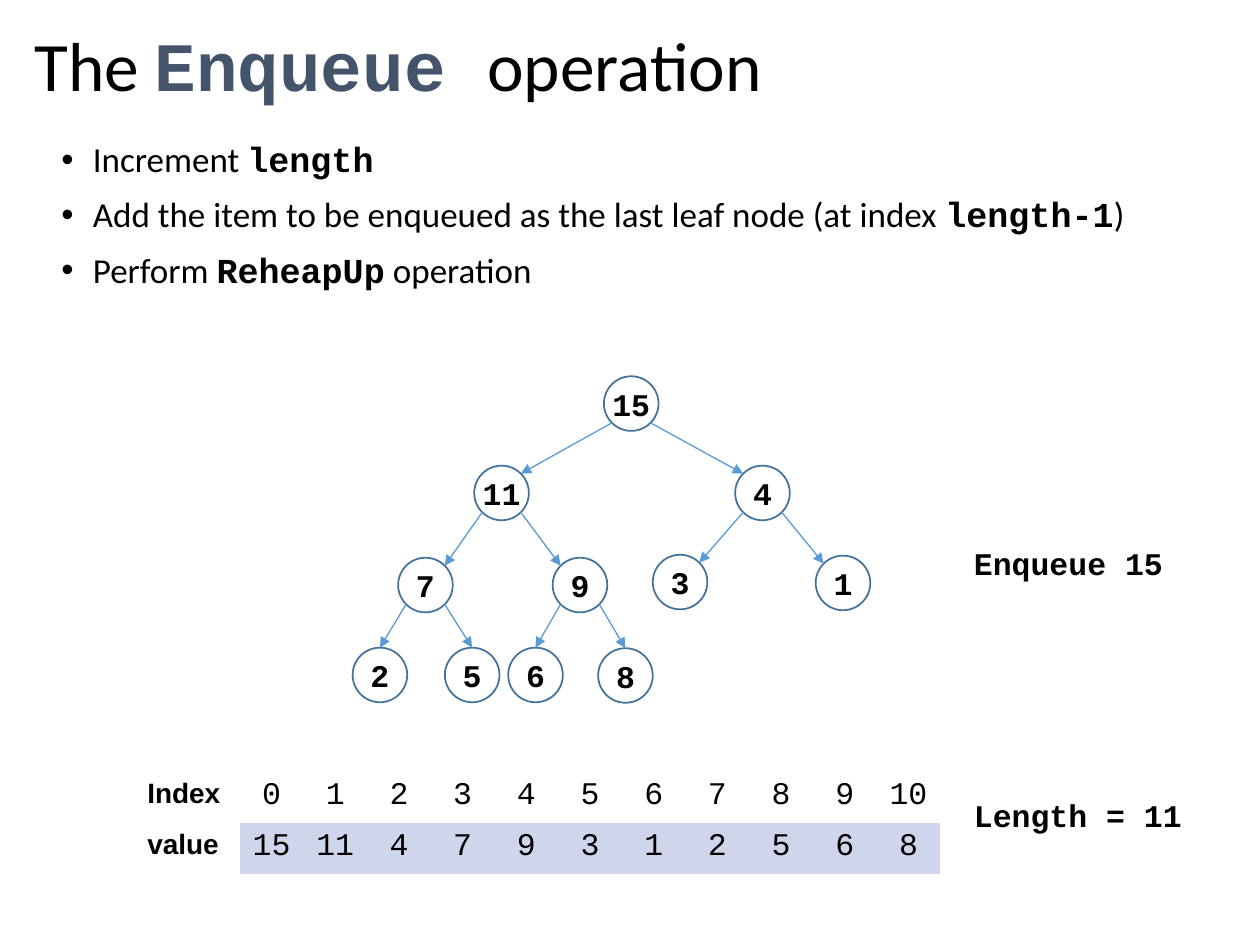
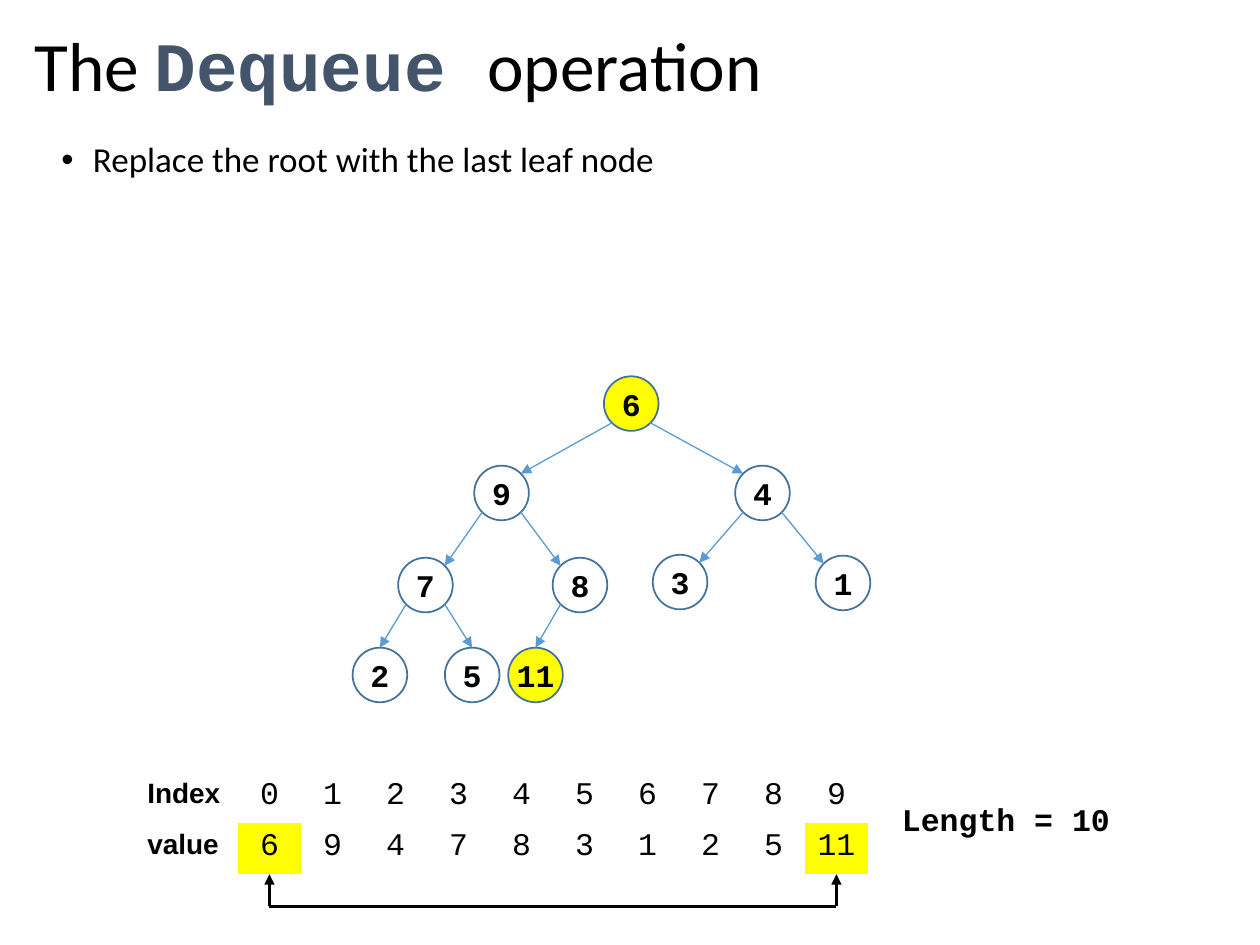
import math

import lxml.etree
import pptx
import pptx.dml.color
import pptx.enum.shapes
import pptx.enum.text
import pptx.oxml.ns
import pptx.util

Pt = pptx.util.Pt
RGBColor = pptx.dml.color.RGBColor
PP_ALIGN = pptx.enum.text.PP_ALIGN
MSO_ANCHOR = pptx.enum.text.MSO_ANCHOR
qn = pptx.oxml.ns.qn

BLACK = RGBColor(0x00, 0x00, 0x00)
SLATE = RGBColor(0x44, 0x54, 0x6A)
NODE_OUTLINE = RGBColor(0x42, 0x71, 0x9B)
EDGE_BLUE = RGBColor(0x5B, 0x9B, 0xD5)
PALE_BLUE = RGBColor(0xCF, 0xD5, 0xEA)
YELLOW = RGBColor(0xFF, 0xFF, 0x00)

BODY_FONT = "Calibri"
CODE_FONT = "Courier New"
LABEL_FONT = "Arial"
NO_GRID_STYLE = "{2D5ABB26-0587-4C30-8999-92F81FD0307C}"

# Node centres in heap order: the children of i are 2i + 1 and 2i + 2.
NODE_CENTRES = [
    (360.7, 230.6),
    (286.6, 281.7), (435.7, 281.7),
    (243.1, 334.3), (331.4, 334.3), (388.6, 332.6), (481.7, 333.1),
    (217.1, 385.7), (269.8, 385.7), (306, 385.7), (357.4, 386),
]
NODE_RADIUS = 15.6
FIRST_BOTTOM_NODE = 7

TABLE_LEFT = 77
TABLE_TOP = 441.2
ROW_HEIGHT = 29.2
TABLE_BOTTOM = TABLE_TOP + 2 * ROW_HEIGHT
BRACKET_Y = 518


class HeapDeck:
    def __init__(self):
        self.presentation = pptx.Presentation()
        self.presentation.slide_width = Pt(720)
        self.presentation.slide_height = Pt(540)
        self.slide = None

    def style_run(self, run, size, font=CODE_FONT, bold=False, color=BLACK):
        run.font.size = Pt(size)
        run.font.name = font
        run.font.bold = bold
        run.font.color.rgb = color

    def write_mixed(self, paragraph, text, size, code_color=BLACK):
        """Write text whose every second part between bars is bold code."""
        paragraph.line_spacing = 0.9
        for index, part in enumerate(text.split("|")):
            run = paragraph.add_run()
            run.text = part
            if index % 2:
                self.style_run(run, size, bold=True, color=code_color)
            else:
                self.style_run(run, size, BODY_FONT)

    def add_slide(self, title):
        self.slide = self.presentation.slides.add_slide(
            self.presentation.slide_layouts.get_by_name("Title Only"))
        shape = self.slide.shapes.title
        shape.left, shape.top = Pt(12.4), Pt(13)
        shape.width, shape.height = Pt(692.6), Pt(53.3)
        text_frame = shape.text_frame
        text_frame.auto_size = pptx.enum.text.MSO_AUTO_SIZE.NONE
        text_frame.vertical_anchor = MSO_ANCHOR.MIDDLE
        paragraph = text_frame.paragraphs[0]
        paragraph.alignment = PP_ALIGN.LEFT
        self.write_mixed(paragraph, title, 39.6, SLATE)

    def add_bullets(self, lines):
        shape = self.slide.shapes.add_textbox(Pt(28), Pt(77.8), Pt(677), Pt(168.5))
        text_frame = shape.text_frame
        text_frame.word_wrap = True
        for index, line in enumerate(lines):
            paragraph = text_frame.add_paragraph() if index else text_frame.paragraphs[0]
            self.write_mixed(paragraph, line, 20)
            paragraph.space_before = Pt(10 if index else 0)
            properties = paragraph._p.get_or_add_pPr()
            properties.set("marL", str(Pt(18)))
            properties.set("indent", str(-Pt(18)))
            lxml.etree.SubElement(properties, qn("a:buFont"), typeface="Arial")
            lxml.etree.SubElement(properties, qn("a:buChar"), char="•")

    def add_note(self, text, left, top):
        shape = self.slide.shapes.add_textbox(Pt(left), Pt(top), Pt(134), Pt(29))
        shape.text_frame.word_wrap = False
        paragraph = shape.text_frame.paragraphs[0]
        paragraph.text = text
        self.style_run(paragraph.runs[0], 18, bold=True)

    def add_line(self, start, end, color, width, arrow=True):
        connector = self.slide.shapes.add_connector(
            pptx.enum.shapes.MSO_CONNECTOR.STRAIGHT,
            *(Pt(value) for value in (*start, *end)))
        connector.line.color.rgb = color
        connector.line.width = Pt(width)
        properties = connector.element.spPr
        if arrow:
            lxml.etree.SubElement(
                properties.find(qn("a:ln")), qn("a:tailEnd"), type="triangle")
        lxml.etree.SubElement(properties, qn("a:effectLst"))
        return connector

    def add_node(self, value, centre, highlighted):
        x, y = centre
        shape = self.slide.shapes.add_shape(
            pptx.enum.shapes.MSO_SHAPE.OVAL,
            Pt(x - NODE_RADIUS), Pt(y - NODE_RADIUS),
            Pt(2 * NODE_RADIUS), Pt(2 * NODE_RADIUS))
        shape.shadow.inherit = False
        if highlighted:
            shape.fill.solid()
            shape.fill.fore_color.rgb = YELLOW
        else:
            shape.fill.background()
        shape.line.color.rgb = NODE_OUTLINE
        shape.line.width = Pt(1)
        text_frame = shape.text_frame
        text_frame.margin_left = text_frame.margin_right = 0
        text_frame.margin_top = text_frame.margin_bottom = 0
        text_frame.vertical_anchor = MSO_ANCHOR.MIDDLE
        text_frame.word_wrap = False
        paragraph = text_frame.paragraphs[0]
        paragraph.text = str(value)
        paragraph.alignment = PP_ALIGN.CENTER
        self.style_run(paragraph.runs[0], 18, bold=True)
        return shape

    def add_tree(self, values, highlighted=()):
        nodes = [self.add_node(value, centre, index in highlighted)
                 for index, (value, centre) in enumerate(zip(values, NODE_CENTRES))]
        diagonal = NODE_RADIUS * math.sqrt(0.5)
        for child in range(1, len(nodes)):
            side = -1 if child % 2 else 1
            parent_x, parent_y = NODE_CENTRES[(child - 1) // 2]
            x, y = NODE_CENTRES[child]
            edge = self.add_line(
                (parent_x + side * diagonal, parent_y + diagonal),
                (x - side * diagonal, y - diagonal), EDGE_BLUE, 0.75)
            if child >= FIRST_BOTTOM_NODE:
                edge.end_connect(nodes[child], 0)

    def add_array(self, values, label_width, cell_width, fills):
        """Add the index and value rows; fills maps an index to a colour."""
        frame = self.slide.shapes.add_table(
            2, len(values) + 1, Pt(TABLE_LEFT), Pt(TABLE_TOP),
            Pt(label_width + len(values) * cell_width), Pt(2 * ROW_HEIGHT))
        frame.element.find(".//" + qn("a:tableStyleId")).text = NO_GRID_STYLE
        table = frame.table
        table.first_row = table.horz_banding = False
        for index, column in enumerate(table.columns):
            column.width = Pt(cell_width if index else label_width)
        rows = [["Index", *range(len(values))], ["value", *values]]
        for row_index, row in enumerate(rows):
            table.rows[row_index].height = Pt(ROW_HEIGHT)
            for column_index, value in enumerate(row):
                cell = table.cell(row_index, column_index)
                paragraph = cell.text_frame.paragraphs[0]
                paragraph.text = str(value)
                if column_index:
                    paragraph.alignment = PP_ALIGN.CENTER
                    self.style_run(paragraph.runs[0], 18)
                else:
                    self.style_run(paragraph.runs[0], 16, LABEL_FONT, True)
                if row_index and column_index - 1 in fills:
                    cell.fill.solid()
                    cell.fill.fore_color.rgb = fills[column_index - 1]
                else:
                    cell.fill.background()

    def add_swap_bracket(self, first_x, last_x):
        self.add_line((last_x, BRACKET_Y), (first_x, BRACKET_Y), BLACK, 1.25, arrow=False)
        for x in (last_x, first_x):
            self.add_line((x, BRACKET_Y), (x, TABLE_BOTTOM), BLACK, 1.25)


def build_enqueue(deck):
    heap = [15, 11, 4, 7, 9, 3, 1, 2, 5, 6, 8]
    deck.add_slide("The |Enqueue |operation")
    deck.add_bullets([
        "Increment |length",
        "Add the item to be enqueued as the last leaf node (at index |length-1|)",
        "Perform |ReheapUp| operation",
    ])
    deck.add_array(heap, 60, 36.4, dict.fromkeys(range(len(heap)), PALE_BLUE))
    deck.add_tree(heap)
    deck.add_note("Enqueue 15", 549.4, 307.4)
    deck.add_note("Length = 11", 549.4, 451.4)


def build_dequeue(deck):
    heap = [6, 9, 4, 7, 8, 3, 1, 2, 5, 11]
    last = len(heap) - 1
    label_width, cell_width = 59, 36
    deck.add_slide("The |Dequeue |operation")
    deck.add_bullets(["Replace the root with the last leaf node"])
    deck.add_tree(heap, highlighted=(0, last))
    deck.add_array(heap, label_width, cell_width, {0: YELLOW, last: YELLOW})
    deck.add_note("Length = 10", 508.3, 453.6)
    first_x = TABLE_LEFT + label_width + cell_width / 2
    deck.add_swap_bracket(first_x, first_x + last * cell_width)


def main():
    deck = HeapDeck()
    build_enqueue(deck)
    build_dequeue(deck)
    deck.presentation.save("out.pptx")


if __name__ == "__main__":
    main()
